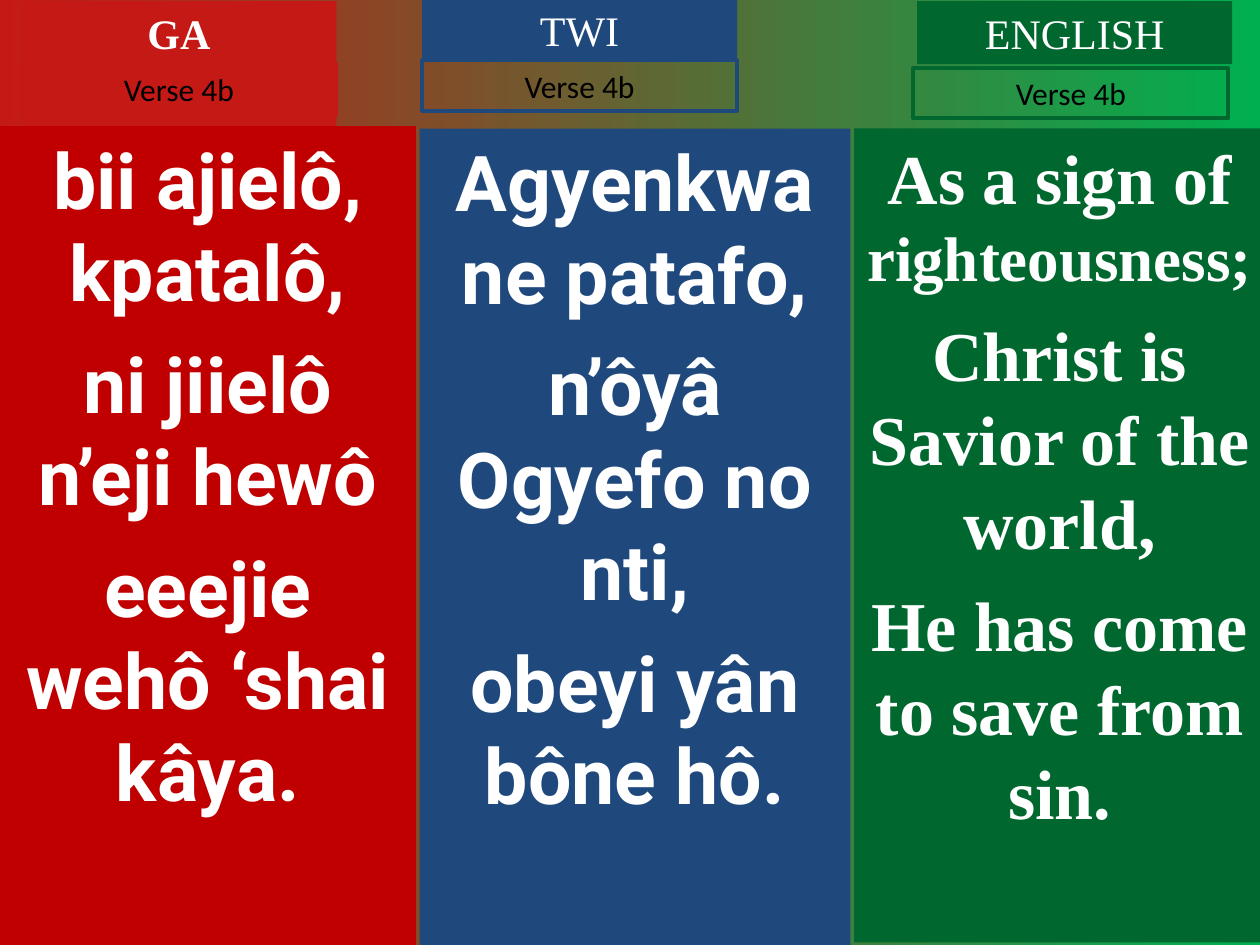
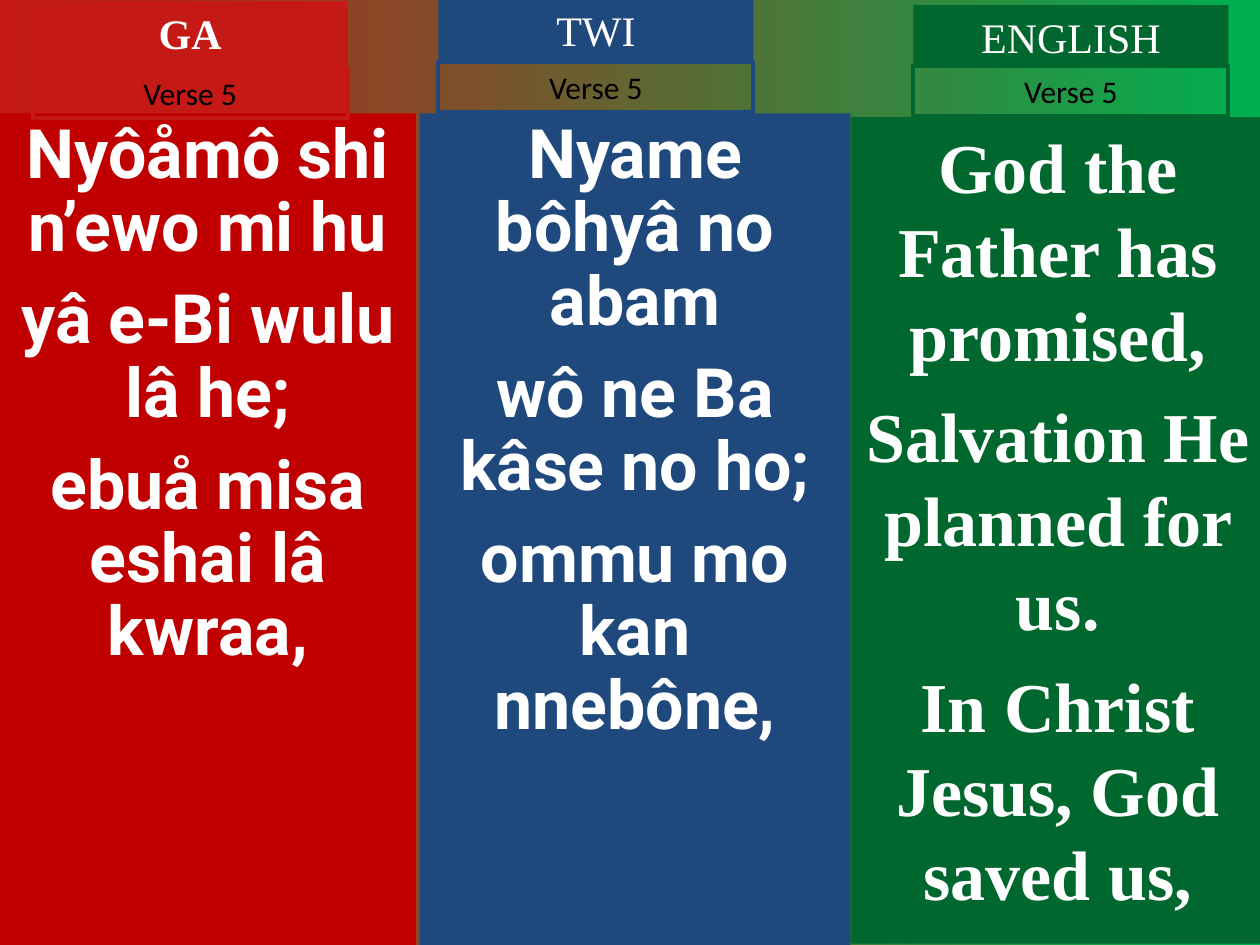
from dataclasses import dataclass
from typing import Optional

from pptx import Presentation
from pptx.dml.color import RGBColor
from pptx.enum.shapes import MSO_SHAPE as Preset
from pptx.enum.text import MSO_ANCHOR as Anchor, MSO_AUTO_SIZE as AutoSize, PP_ALIGN as Align
from pptx.util import Pt

WHITE = RGBColor(0xFF, 0xFF, 0xFF)
BLACK = RGBColor(0x00, 0x00, 0x00)
SCARLET = RGBColor(0xC5, 0x19, 0x15)
RED = RGBColor(0xC0, 0x00, 0x00)
BLUE = RGBColor(0x1F, 0x49, 0x7D)
DARK_GREEN = RGBColor(0x00, 0x68, 0x2F)
BRIGHT_GREEN = RGBColor(0x00, 0xB0, 0x50)

SLIDE_WIDTH, SLIDE_HEIGHT = 720, 540
LABEL_WIDTH, HEADING_HEIGHT, VERSE_HEIGHT = 180, 36, 28.8
TWO_CONTENT_LAYOUT = 3


@dataclass(frozen=True)
class TextStyle:
    font: str
    size: float
    color: RGBColor
    bold: bool = False
    space_before: float = 0
    line_spacing: Optional[float] = None


@dataclass(frozen=True)
class Area:
    left: float
    top: float
    width: float
    height: float


@dataclass(frozen=True)
class Language:
    name: str
    panel_color: RGBColor
    label_color: RGBColor
    bold_heading: bool = False
    body_index: Optional[int] = None


@dataclass(frozen=True)
class Column:
    language: Language
    panel: Area
    heading_at: tuple[float, float]
    verse_at: tuple[float, float]
    style: TextStyle
    lyrics: list


@dataclass(frozen=True)
class Sized:
    text: str
    size: float


@dataclass(frozen=True)
class Verse:
    label: str
    columns: list[Column]


GA = Language("GA", RED, SCARLET, bold_heading=True, body_index=1)
TWI = Language("TWI", BLUE, BLUE, body_index=2)
ENGLISH = Language("ENGLISH", DARK_GREEN, DARK_GREEN)

LARGE_LYRICS = TextStyle("Roboto", 44, WHITE, True, 11)
TIGHT_LYRICS = TextStyle("Roboto", 38.9, WHITE, True, 10.5, 0.9)
ENGLISH_LYRICS = TextStyle("Times New Roman", 40, WHITE, True, 10)
VERSE_STYLE = TextStyle("Calibri", 18, BLACK)

VERSES = [
    Verse("Verse 4b", [
        Column(GA, Area(0, 72, 237.6, 468), (12.24, 0.72), (12.24, 36.72), LARGE_LYRICS,
               ["bii ajielô, kpatalô,", "ni jiielô n’eji hewô", "eeejie wehô ‘shai kâya."]),
        Column(TWI, Area(239.76, 73.44, 246.24, 466.56), (241.2, -0.72), (241.2, 34.56), LARGE_LYRICS,
               ["Agyenkwa ne patafo,", "n’ôyâ Ogyefo no nti,", "obeyi yân bône hô."]),
        Column(ENGLISH, Area(488.16, 73.44, 234.72, 465.12), (524.16, 0.72), (522, 38.88), ENGLISH_LYRICS,
               [[Sized("As a sign of ", 40), Sized("righteousness;", 36)],
                "Christ is Savior of the world,", "He has come to save from sin."]),
    ]),
    Verse("Verse 5", [
        Column(GA, Area(0, 64.8, 237.6, 475.2), (18.72, 0.72), (18.72, 38.88), TIGHT_LYRICS,
               ["Nyôåmô shi n’ewo mi hu", "yâ e-Bi wulu lâ he;", "ebuå misa eshai lâ kwraa,"]),
        Column(TWI, Area(239.76, 64.8, 246.24, 475.2), (250.56, -0.72), (250.56, 35.28), TIGHT_LYRICS,
               ["Nyame bôhyâ no abam", "wô ne Ba kâse no ho;", "ommu mo kan nnebône,"]),
        Column(ENGLISH, Area(486, 66.96, 236.88, 472.32), (522, 2.88), (522, 37.44), ENGLISH_LYRICS,
               ["God the Father has promised,", "Salvation He planned for us.",
                "In Christ Jesus, God saved us,"]),
    ]),
]


def place(box, area: Area, fill: Optional[RGBColor] = None, outline: Optional[RGBColor] = None) -> None:
    box.left, box.top = Pt(area.left), Pt(area.top)
    box.width, box.height = Pt(area.width), Pt(area.height)
    box.shadow.inherit = False
    if fill is None:
        box.fill.background()
    else:
        box.fill.solid()
        box.fill.fore_color.rgb = fill
    if outline is None:
        box.line.fill.background()
    else:
        box.line.color.rgb = outline
        box.line.width = Pt(2.25)


def write(box, lines: list, style: TextStyle, grow: bool = False) -> None:
    frame = box.text_frame
    frame.word_wrap = True
    frame.auto_size = AutoSize.SHAPE_TO_FIT_TEXT if grow else AutoSize.NONE
    frame.vertical_anchor = Anchor.TOP
    for position, line in enumerate(lines):
        para = frame.add_paragraph() if position else frame.paragraphs[0]
        properties = para._p.get_or_add_pPr()
        properties.set("marL", "0")
        properties.set("indent", "0")
        para.alignment = Align.CENTER
        para.space_before = Pt(style.space_before if position else 0)
        if style.line_spacing:
            para.line_spacing = style.line_spacing
        properties.append(properties.makeelement(
            "{http://schemas.openxmlformats.org/drawingml/2006/main}buNone", {}))
        para.font.name = style.font
        para.font.bold = style.bold
        para.font.color.rgb = style.color
        if isinstance(line, str):
            para.font.size = Pt(style.size)
            para.add_run().text = line
        else:
            for part in line:
                span = para.add_run()
                span.text = part.text
                span.font.size = Pt(part.size)


def add_box(page):
    return page.shapes.add_shape(Preset.RECTANGLE, 0, 0, 0, 0)


def draw_panel(page, column: Column) -> None:
    index = column.language.body_index
    panel = add_box(page) if index is None else page.placeholders[index]
    place(panel, column.panel, fill=column.language.panel_color)
    write(panel, column.lyrics, column.style)


def draw_labels(page, column: Column, verse_label: str) -> None:
    language = column.language
    heading = page.shapes.title if language is GA else add_box(page)
    place(heading, Area(*column.heading_at, LABEL_WIDTH, HEADING_HEIGHT), fill=language.label_color)
    write(heading, [language.name],
          TextStyle("Times New Roman", 24, WHITE, language.bold_heading), grow=True)
    verse_box = add_box(page)
    place(verse_box, Area(*column.verse_at, LABEL_WIDTH, VERSE_HEIGHT), outline=language.label_color)
    write(verse_box, [verse_label], VERSE_STYLE, grow=True)


def paint_background(page) -> None:
    fill = page.background.fill
    fill.gradient()
    fill.gradient_angle = 0
    for stop, color in zip(fill.gradient_stops, (SCARLET, BRIGHT_GREEN)):
        stop.color.rgb = color


def main() -> None:
    deck = Presentation()
    deck.slide_width, deck.slide_height = Pt(SLIDE_WIDTH), Pt(SLIDE_HEIGHT)
    paint_background(deck.slide_master)
    for verse in VERSES:
        page = deck.slides.add_slide(deck.slide_layouts[TWO_CONTENT_LAYOUT])
        for column in verse.columns:
            draw_panel(page, column)
            draw_labels(page, column, verse.label)
    deck.save("out.pptx")


if __name__ == "__main__":
    main()
